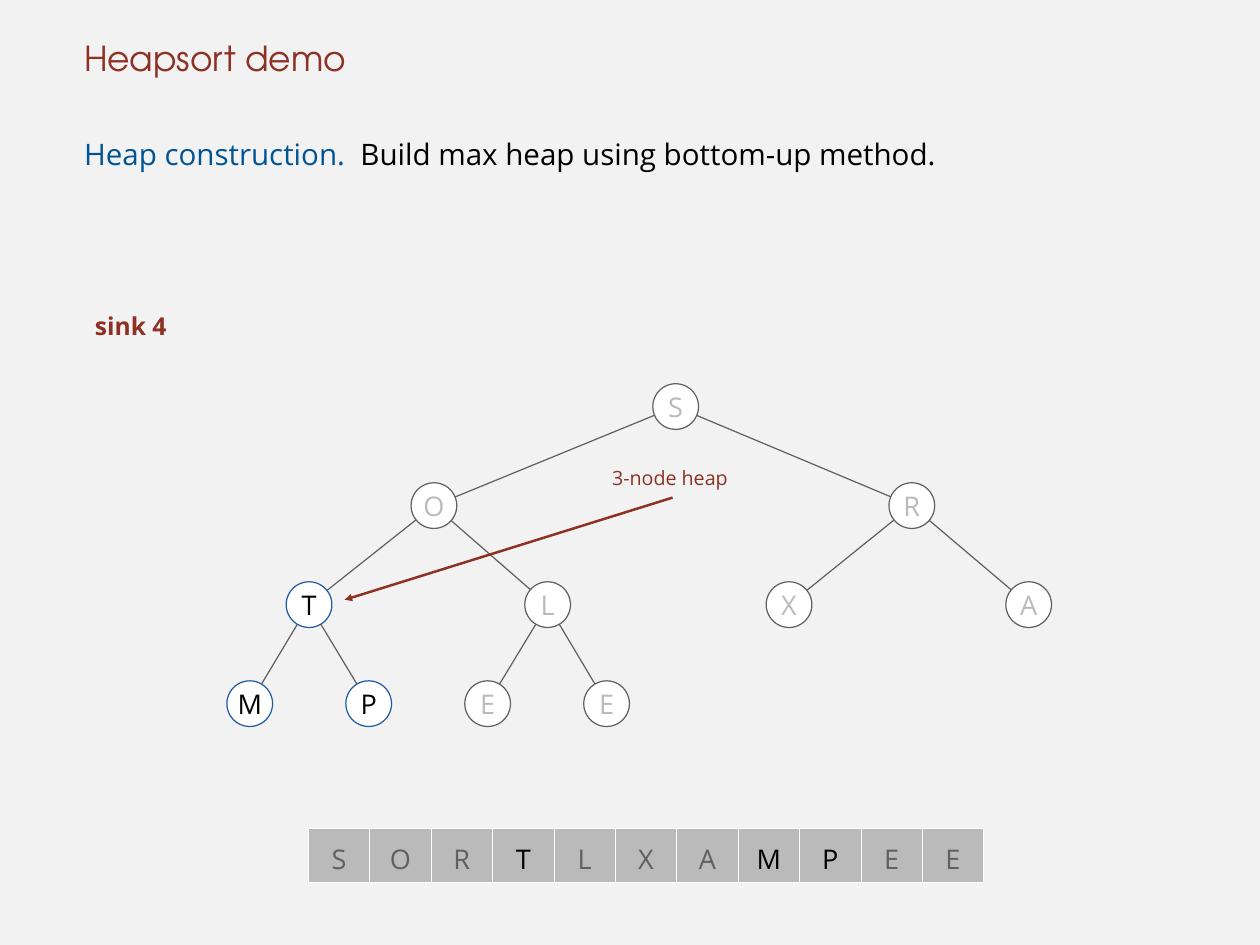
"""Build the heapsort demo slide: a heap drawn as a tree and as an array."""
import lxml.etree
import pptx
import pptx.dml.color
import pptx.enum.shapes
import pptx.enum.text
import pptx.oxml.ns
import pptx.util

Cm = pptx.util.Cm
Pt = pptx.util.Pt
qn = pptx.oxml.ns.qn
SHAPES = pptx.enum.shapes.MSO_SHAPE
ANCHOR = pptx.enum.text.MSO_ANCHOR
ALIGN = pptx.enum.text.PP_ALIGN
COLORS = {
    name: pptx.dml.color.RGBColor.from_string(value)
    for name, value in {
        "background": "F2F2F2",
        "red": "8D3124",
        "blue": "005493",
        "active outline": "1F5AA6",
        "black": "000000",
        "white": "FFFFFF",
        "dark gray": "606060",
        "light gray": "BABABA",
    }.items()
}


def write(shape, pieces, size, font="Open Sans", bold=False, indent=0.15,
          anchor=ANCHOR.TOP, align=ALIGN.LEFT, spacing=None):
    """Fill a shape with one paragraph of (text, color) pieces."""
    frame = shape.text_frame
    frame.word_wrap = True
    frame.vertical_anchor = anchor
    frame.margin_left = Cm(indent)
    frame.margin_right = frame.margin_top = frame.margin_bottom = 0
    paragraph = frame.paragraphs[0]
    paragraph.alignment = align
    paragraph.line_spacing = spacing
    for text, color in pieces:
        run = paragraph.add_run()
        run.text = text
        run.font.name = font
        run.font.size = Pt(size)
        run.font.bold = bold
        run.font.color.rgb = COLORS[color]


def add_line(start, end, color, width):
    """Draw a straight line without a shadow between two points in centimetres."""
    line = slide.shapes.add_connector(
        pptx.enum.shapes.MSO_CONNECTOR.STRAIGHT,
        Cm(start[0]), Cm(start[1]), Cm(end[0]), Cm(end[1]))
    line.line.color.rgb = COLORS[color]
    line.line.width = Pt(width)
    lxml.etree.SubElement(line._element.spPr, qn("a:effectLst"))
    return line


presentation = pptx.Presentation()
presentation.slide_width = Cm(36.12)
presentation.slide_height = Cm(27.1)
slide = presentation.slides.add_slide(presentation.slide_layouts[6])
slide.background.fill.solid()
slide.background.fill.fore_color.rgb = COLORS["background"]

title = slide.shapes.add_textbox(Cm(2.26), Cm(0), Cm(31.6), Cm(2.26))
write(title, [("Heapsort demo", "red")], 28, font="TeX Gyre Adventor",
      anchor=ANCHOR.BOTTOM)
body = slide.shapes.add_textbox(Cm(2.26), Cm(3.53), Cm(31.6), Cm(22.58))
write(body, [("Heap construction.  ", "blue"),
             ("Build max heap using bottom-up method.", "black")],
      24, spacing=Pt(39))
step = slide.shapes.add_textbox(Cm(2.57), Cm(8.92), Cm(2.72), Cm(1.09))
write(step, [("sink 4", "red")], 20, bold=True)

keys = "SORTLXAMPEE"
active = {3, 7, 8}
node_x = [19.37, 12.44, 26.14, 8.86, 15.7, 22.62, 29.49, 7.16, 10.57, 13.98, 17.39]
root_y, level_gap, diameter = 11.66, 2.84, 1.31
centers = [(x, root_y + level_gap * ((index + 1).bit_length() - 1))
           for index, x in enumerate(node_x)]

for child in range(1, len(keys)):
    add_line(centers[(child - 1) // 2], centers[child], "dark gray", 1)

for index, (key, (x, y)) in enumerate(zip(keys, centers)):
    node = slide.shapes.add_shape(
        SHAPES.OVAL, Cm(x - diameter / 2), Cm(y - diameter / 2),
        Cm(diameter), Cm(diameter))
    node.shadow.inherit = False
    node.fill.solid()
    node.fill.fore_color.rgb = COLORS["white"]
    node.line.color.rgb = COLORS["active outline" if index in active else "dark gray"]
    node.line.width = Pt(1)
    write(node, [(key, "black" if index in active else "light gray")], 22,
          indent=0, anchor=ANCHOR.MIDDLE, align=ALIGN.CENTER)

array_left, array_top, cell_width, cell_height = 8.84, 23.75, 1.76, 1.55
for index, key in enumerate(keys):
    cell = slide.shapes.add_shape(
        SHAPES.RECTANGLE, Cm(array_left + index * cell_width), Cm(array_top),
        Cm(cell_width), Cm(cell_height))
    cell.shadow.inherit = False
    cell.fill.solid()
    cell.fill.fore_color.rgb = COLORS["light gray"]
    cell.line.color.rgb = COLORS["white"]
    cell.line.width = Pt(0.5)
    write(cell, [(key, "black" if index in active else "dark gray")], 22,
          indent=0, anchor=ANCHOR.MIDDLE, align=ALIGN.CENTER, spacing=1.2)

heap_label = slide.shapes.add_textbox(Cm(17.4), Cm(13.36), Cm(3.89), Cm(0.91))
write(heap_label, [("3-node heap", "red")], 16)
heap_arrow = add_line((19.28, 14.27), (9.88, 17.2), "red", 2)
arrow_outline = heap_arrow._element.spPr.find(qn("a:ln"))
lxml.etree.SubElement(arrow_outline, qn("a:tailEnd"), type="triangle")

presentation.save("out.pptx")
